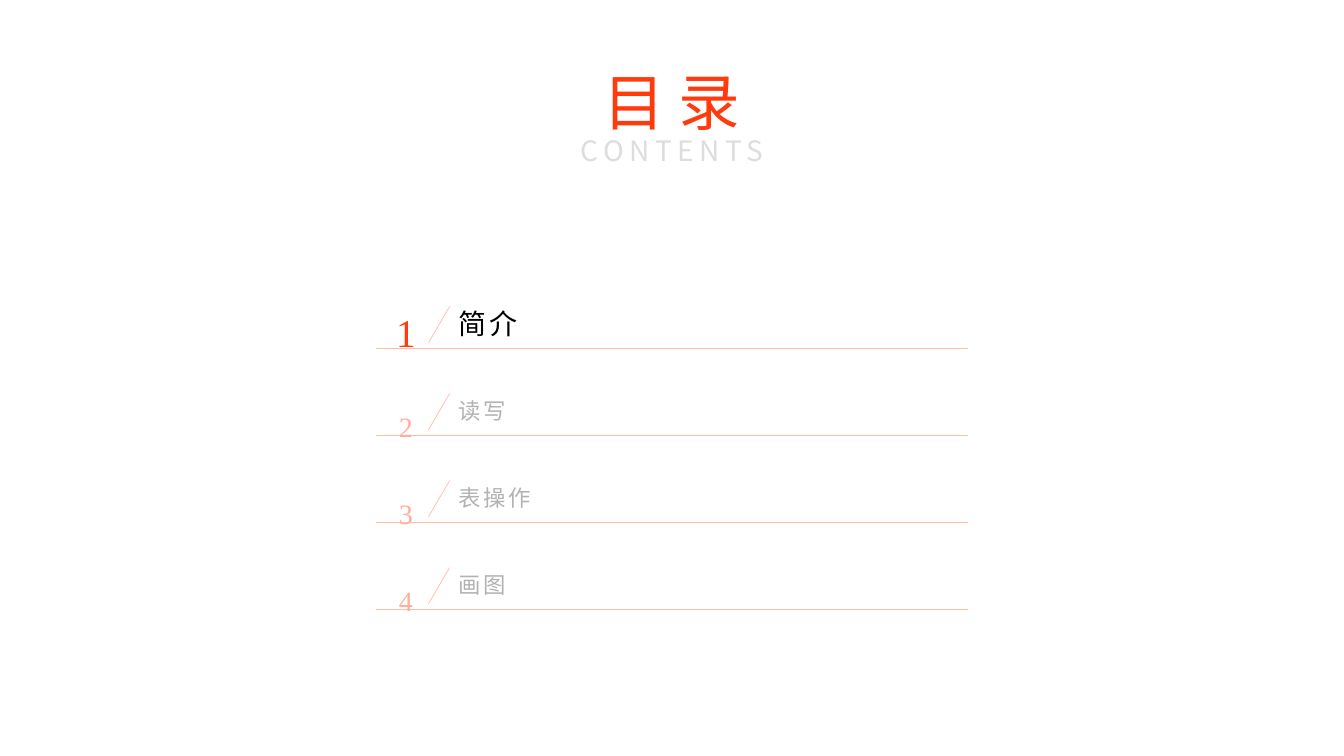
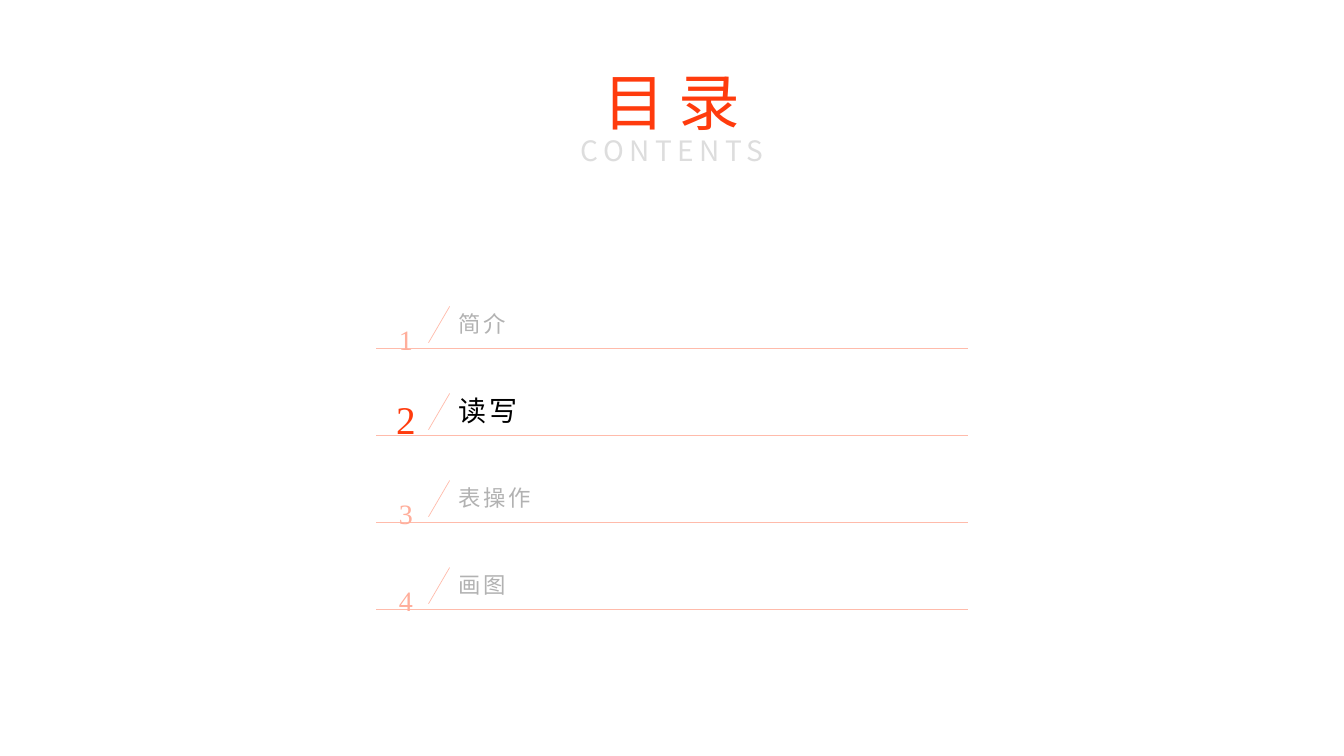
from lxml import etree
from pptx import Presentation
from pptx import util as u
from pptx.dml.color import RGBColor
from pptx.enum import shapes, text
from pptx.oxml.ns import qn

TITLE, SUB = "目 录", "CONTENTS"
TOPICS = ["简介", "读写", "表操作", "画图"]
ACTIVE = [0, 1]  # topic lit on each slide

HEX = {"accent": "FF3B0D", "pale": "FFAE9B", "rule": "FFBBAB",
       "ink": "000000", "grey": "B2B2B2", "light": "DDDDDD"}
SANS, SERIF = "Noto Sans CJK SC", "Times New Roman"
# topic size, topic colour, number size, number colour
LOOK = {True: (20, "ink", 28, "accent"), False: (16, "grey", 20, "pale")}

LEFT, RIGHT = 3.73, 9.6
FIRST, LAST = 3.46, 6.05
PITCH = (LAST - FIRST) / (len(TOPICS) - 1)
LABEL = 4.47


def label(slide, words, box, size, color, face=SANS, align=None, anchor="MIDDLE",
          inset=(0, 0, 0, 0), gap=0, lead=None):
    """Add one line of text; gap is the letter spacing in points."""
    shape = slide.shapes.add_textbox(*map(u.Inches, box))
    frame = shape.text_frame
    frame.word_wrap = True
    frame.vertical_anchor = text.MSO_ANCHOR[anchor]
    (frame.margin_left, frame.margin_top,
     frame.margin_right, frame.margin_bottom) = map(u.Inches, inset)
    par = frame.paragraphs[0]
    par.text = words
    par.alignment = align
    if lead:
        par.line_spacing = lead
    font = par.font
    font.size, font.name = u.Pt(size), face
    font.color.rgb = RGBColor.from_string(HEX[color])
    props = par._p.pPr.find(qn("a:defRPr"))
    etree.SubElement(props, qn("a:ea")).set("typeface", face)
    if gap:
        props.set("spc", str(round(gap * 100)))
    return frame


def rule(slide, *ends):
    line = slide.shapes.add_connector(shapes.MSO_CONNECTOR.STRAIGHT,
                                      *map(u.Inches, ends))
    line.line.color.rgb = RGBColor.from_string(HEX["rule"])
    line.line.width = u.Pt(0.5)
    etree.SubElement(line._element.spPr, qn("a:effectLst"))


def heading(slide):
    mid = text.PP_ALIGN.CENTER
    label(slide, TITLE, (5.82, 0.64, 1.69, 0.73), 44, "accent", align=mid)
    sub = label(slide, SUB, (4.65, 1.28, 4.03, 0.44), 20, "light", align=mid,
                anchor="TOP", inset=(0.1, 0.05, 0.1, 0.05), gap=3.9)
    sub.auto_size = text.MSO_AUTO_SIZE.SHAPE_TO_FIT_TEXT


def entry(slide, row, topic, lit):
    base = FIRST + row * PITCH
    size, color, num, tint = LOOK[lit]
    rule(slide, LEFT, base, RIGHT, base)
    label(slide, topic, (LABEL, base - 0.49, RIGHT - LABEL, 0.48), size, color,
          inset=(0.08, 0, 0, 0), gap=2)
    rule(slide, 4.46, base - 0.42, 4.25, base - 0.06)
    label(slide, str(row + 1), (LEFT, base - 0.53, 0.59, 0.6), num, tint, SERIF,
          text.PP_ALIGN.CENTER, "BOTTOM", lead=1.3)


def main():
    deck = Presentation()
    deck.slide_width, deck.slide_height = u.Inches(13.33), u.Inches(7.5)
    for active in ACTIVE:
        slide = deck.slides.add_slide(deck.slide_layouts[6])
        for row, topic in enumerate(TOPICS):
            entry(slide, row, topic, row == active)
        heading(slide)
    deck.save("out.pptx")


if __name__ == "__main__":
    main()
